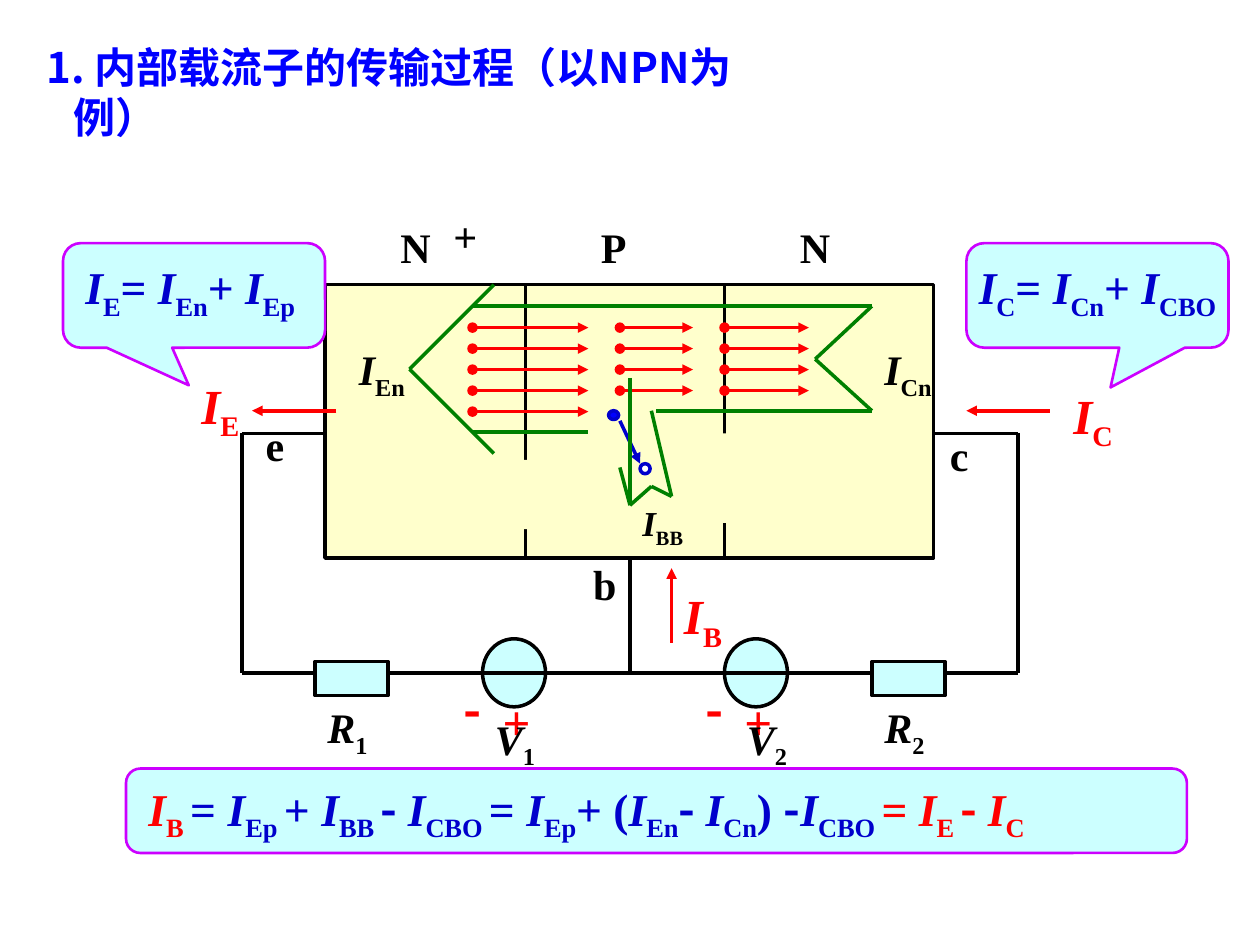
from lxml.etree import SubElement
from pptx import Presentation
from pptx.dml.color import RGBColor
from pptx.enum.shapes import MSO_CONNECTOR as Connector, MSO_SHAPE as Shape
from pptx.enum.text import MSO_ANCHOR as Anchor, MSO_AUTO_SIZE as AutoSize, PP_ALIGN as Align
from pptx.oxml.ns import qn
from pptx.util import Inches, Pt

COLORS = {
    "black": "000000", "red": "FF0000", "green": "008000", "navy": "0000CC",
    "blue": "0000FF", "violet": "CC00FF", "cyan": "CCFFFF", "cream": "FFFFCC",
    "white": "FFFFFF",
}
SERIF, SANS = "Times New Roman", "Noto Sans CJK SC"


def rgb(name):
    """Return the palette colour with this name."""
    return RGBColor.from_string(COLORS[name])


def write(paragraph, text, size=24, color="black", font=SERIF):
    """Write bold runs split by |, where _ opens a subscript and I, V, R are italic."""
    for part in text.split("|"):
        run = paragraph.add_run()
        run.text = part.removeprefix("_")
        style = run.font
        style.size, style.bold = Pt(size), True
        style.italic = part in ("I", "V", "R")
        style.color.rgb = rgb(color)
        style.name = SANS if part.strip() == "-" else font
        properties = style._element
        SubElement(properties, qn("a:ea")).set("typeface", style.name)
        if part.startswith("_"):
            properties.set("baseline", "-25000")


class Diagram:
    """Draws styled elements on the current slide."""

    def __init__(self, slide, weight=2):
        self.slide, self.shapes, self.weight = slide, slide.shapes, weight

    def title(self, box, text, hanging, **style):
        """Place and format the title placeholder."""
        heading = self.shapes.title
        heading.left, heading.top, heading.width, heading.height = map(Inches, box)
        frame = heading.text_frame
        frame.word_wrap, frame.auto_size = True, AutoSize.SHAPE_TO_FIT_TEXT
        frame.vertical_anchor = Anchor.TOP
        paragraph = frame.paragraphs[0]
        paragraph.alignment = Align.LEFT
        indents = paragraph._p.get_or_add_pPr()
        indents.set("marL", str(Inches(hanging)))
        indents.set("indent", str(-Inches(hanging)))
        write(paragraph, text, **style)

    def text(self, box, *pieces, wrap=True, **style):
        """Add a text box; a piece is a text or a (text, color) pair."""
        frame = self.shapes.add_textbox(*map(Inches, box)).text_frame
        frame.word_wrap, frame.auto_size = wrap, AutoSize.SHAPE_TO_FIT_TEXT
        for piece in pieces:
            if isinstance(piece, tuple):
                write(frame.paragraphs[0], piece[0], color=piece[1], **style)
            else:
                write(frame.paragraphs[0], piece, **style)

    def shape(self, kind, box, fill, line=None, weight=None, adjust=()):
        """Add a filled preset shape."""
        item = self.shapes.add_shape(kind, *map(Inches, box))
        item.shadow.inherit = False
        item.fill.solid()
        item.fill.fore_color.rgb = rgb(fill)
        if line:
            item.line.color.rgb = rgb(line)
            item.line.width = Pt(weight or self.weight)
        else:
            item.line.fill.background()
        for index, value in enumerate(adjust):
            item.adjustments[index] = value

    def line(self, start, end, color="black", head=None, tail=None):
        """Add a straight line with optional ends."""
        item = self.shapes.add_connector(Connector.STRAIGHT, *map(Inches, (*start, *end)))
        item.line.color.rgb = rgb(color)
        item.line.width = Pt(self.weight)
        outline = item.line._get_or_add_ln()
        for tag, kind in (("a:headEnd", head), ("a:tailEnd", tail)):
            if kind:
                SubElement(outline, qn(tag)).set("type", kind)
        SubElement(item._element.spPr, qn("a:effectLst"))

    def chain(self, *points, color="green"):
        """Join consecutive points with lines."""
        for start, end in zip(points, points[1:]):
            self.line(start, end, color)

    def curve(self, points, color="green"):
        """Add an open outline through the points."""
        builder = self.shapes.build_freeform(*points[0], scale=Inches(1))
        builder.add_line_segments(points[1:], close=False)
        item = builder.convert_to_shape()
        item.shadow.inherit = False
        item.fill.background()
        item.line.color.rgb = rgb(color)
        item.line.width = Pt(self.weight)


def draw_circuit(d):
    """Draw the transistor body, wires, resistors and sources."""
    for left in (3.83, 5.75):
        d.shape(Shape.OVAL, (left, 5.07, 0.5, 0.54), "cyan", "black")
    d.shape(Shape.RECTANGLE, (2.58, 2.26, 4.83, 2.17), "cream", "black")
    for junction in (4.17, 5.75):
        d.line((junction, 2.26), (junction, 4.43))
    for region, left in (("N", 3.08), ("P", 4.67), ("N", 6.25)):
        d.text((left, 1.71, 0.75, 0.5), region)
    d.text((3.5, 1.62, 0.5, 0.5), "+")
    d.chain((2.58, 3.44), (1.92, 3.44), (1.92, 5.34), (8.08, 5.34),
            (8.08, 3.44), (7.42, 3.44), color="black")
    d.line((5, 4.43), (5, 5.34))
    for number, resistor, source, sign in ((1, 2.5, 3.83, 3.58), (2, 6.92, 5.83, 5.5)):
        d.shape(Shape.RECTANGLE, (resistor, 5.25, 0.58, 0.27), "cyan", "black")
        d.text((sign, 5.34, 0.4, 0.57), "-", size=28, color="red")
        d.text((sign + 0.31, 5.44, 0.45, 0.53), "+", size=28, color="red")
        d.text((source, 5.61, 0.75, 0.5), f"V|_{number}")
        d.text((resistor, 5.52, 0.75, 0.5), f"R|_{number}")
    for terminal, left, top in (("e", 2.01, 3.28), ("b", 4.61, 4.38), ("c", 7.44, 3.36)):
        d.text((left, top, 0.39, 0.5), terminal)
    for box in ((2.97, 3.65, 1.89, 0.55), (5.4, 3.44, 1.89, 0.71)):
        d.shape(Shape.ROUNDED_RECTANGLE, box, "cream")


def draw_carriers(d):
    """Draw the electron flow, its outline and the recombination."""
    for start, end, count in ((3.75, 4.67, 5), (4.92, 5.5, 4), (5.75, 6.42, 4)):
        for row in range(count):
            y = 2.6 + row / 6
            d.line((start, y), (end, y), "red", head="oval", tail="triangle")
    d.shape(Shape.OVAL, (4.83, 3.26, 0.08, 0.07), "blue", "navy")
    d.line((4.92, 3.34), (5.08, 3.68), "navy", tail="triangle")
    d.shape(Shape.OVAL, (5.08, 3.68, 0.08, 0.08), "white", "navy")
    d.chain((3.92, 2.26), (3.25, 2.93), (3.92, 3.6))
    d.line((3.75, 3.43), (4.67, 3.43), "green")
    d.chain((3.75, 2.43), (6.92, 2.43), (6.47, 2.85), (6.92, 3.26), (5.21, 3.26))
    d.curve([(4.67, 3.41), (4.73, 3.43), (4.79, 3.46), (4.83, 3.51),
             (4.87, 3.58), (4.9, 3.67), (4.92, 3.79)])
    d.chain((5.17, 3.26), (5.33, 3.94), (5.17, 3.86), (5, 4.01), (4.92, 3.71))
    d.text((2.75, 2.68, 0.67, 0.5), "I|_En")
    d.text((6.92, 2.68, 0.83, 0.5), "I|_Cn")
    d.text((5, 3.93, 0.67, 0.43), "I|_BB", size=20)


def draw_currents(d):
    """Draw the terminal currents and their equations."""
    for start, end in (((2.67, 3.26), (2, 3.26)), ((8.33, 3.26), (7.67, 3.26)),
                       ((5.33, 5.1), (5.33, 4.51))):
        d.line(start, end, "red", tail="triangle")
    d.text((1.5, 2.93, 0.53, 0.57), "I|_E", size=28, color="red", wrap=False)
    d.text((8.42, 3.01, 0.58, 0.57), "I|_C", size=28, color="red")
    d.text((5.33, 4.6, 0.58, 0.57), "I|_B", size=28, color="red")
    for left, adjust, text_left, width, equation in (
            (0.5, (-0.02, 0.86, 0.17), 0.58, 2.17, "I|_E|= |I|_En|+ |I|_Ep"),
            (7.67, (0.05, 0.88, 0.17), 7.67, 2.33, "I|_C|= |I|_Cn|+ |I|_CBO")):
        d.shape(Shape.ROUNDED_RECTANGULAR_CALLOUT, (left, 1.93, 2.08, 0.83),
                "cyan", "violet", 1.5, adjust)
        d.text((text_left, 2.01, width, 0.53), equation, size=26, color="navy")
    d.shape(Shape.ROUNDED_RECTANGLE, (1, 6.1, 8.42, 0.67), "cyan", "violet", 1.5, (0.17,))
    d.text((1.08, 6.15, 8.25, 0.53), ("I|_B ", "red"),
           ("= |I|_Ep |+ |I|_BB |- |I|_CBO |= |I|_Ep|+ (|I|_En|- |I|_Cn|) |-|I|_CBO ", "navy"),
           ("= |I|_E |- |I|_C", "red"), size=26)


def main():
    """Build and save the slide."""
    deck = Presentation()
    deck.slide_width, deck.slide_height = Inches(10), Inches(7.5)
    d = Diagram(deck.slides.add_slide(deck.slide_layouts[5]))
    d.title((0.27, 0.28, 5.99, 0.5), "1. 内部载流子的传输过程（以NPN为例）", 0.21,
            color="blue", font=SANS)
    draw_circuit(d)
    draw_carriers(d)
    draw_currents(d)
    deck.save("out.pptx")


if __name__ == "__main__":
    main()
